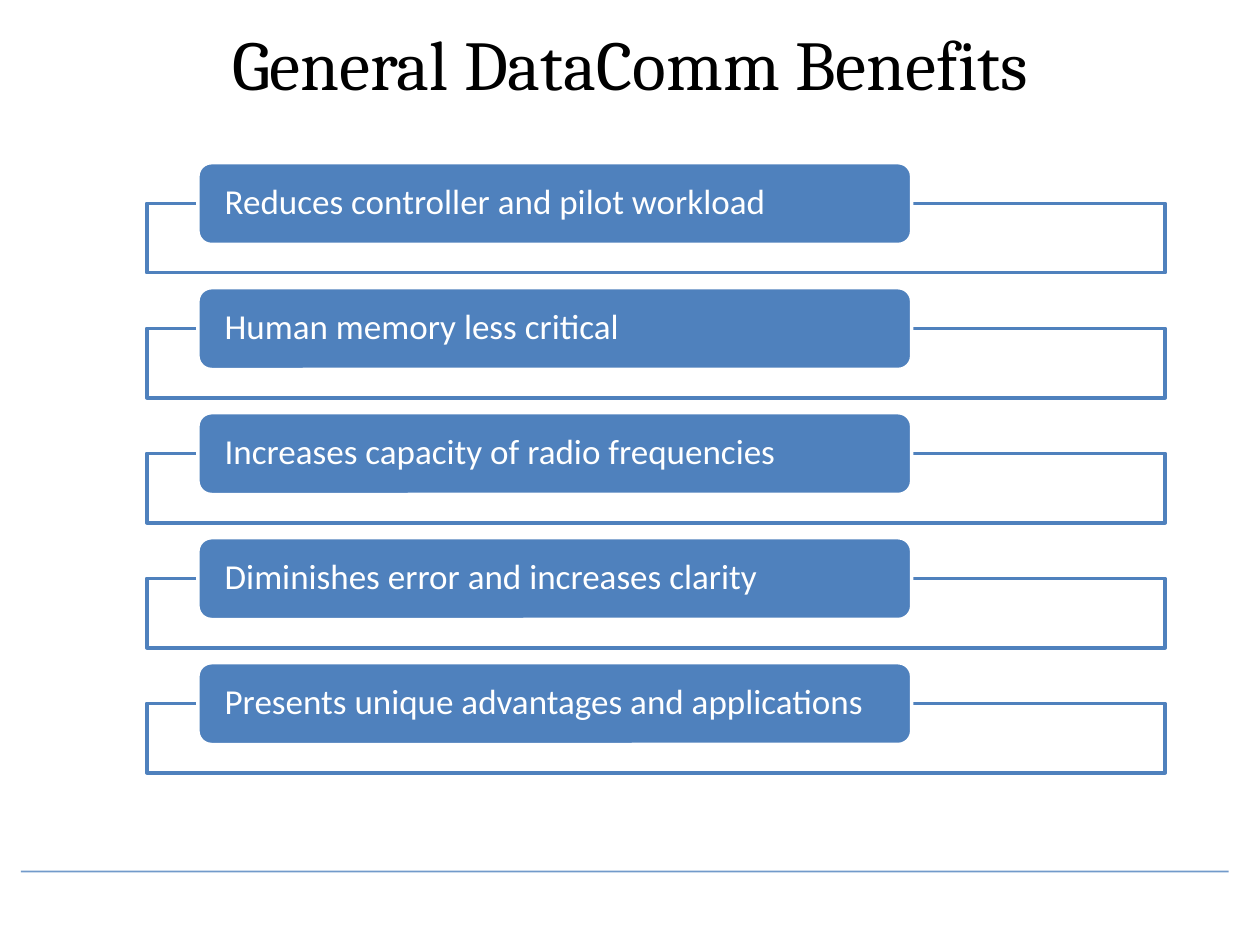
"""Build the slide on the general benefits of DataComm."""
from lxml.etree import SubElement
from pptx import Presentation
from pptx.dml.color import RGBColor
from pptx.enum.shapes import MSO_CONNECTOR as CONNECTOR, MSO_SHAPE as SHAPE
from pptx.enum.text import MSO_ANCHOR as ANCHOR, PP_ALIGN as ALIGN
from pptx.oxml.ns import qn
from pptx.util import Cm, Pt

BLACK = RGBColor(0x00, 0x00, 0x00)
WHITE = RGBColor(0xFF, 0xFF, 0xFF)
BLUE = RGBColor(0x4F, 0x81, 0xBD)

BENEFITS = [
    "Reduces controller and pilot workload",
    "Human memory less critical",
    "Increases capacity of radio frequencies",
    "Diminishes error and increases clarity",
    "Presents unique advantages and applications",
]
ROW_PITCH = 2.52


def set_opacity(part, percent):
    color = next(part.iter(qn("a:srgbClr")))
    SubElement(color, qn("a:alpha"), val=str(percent * 1000))


def add_panel(kind, left, top, width, height, fill, line):
    panel = slide.shapes.add_shape(kind, Cm(left), Cm(top), Cm(width), Cm(height))
    panel.shadow.inherit = False
    panel.fill.solid()
    panel.fill.fore_color.rgb = fill
    panel.line.color.rgb = line
    panel.line.width = Pt(2)
    return panel


prs = Presentation()
prs.slide_width = Cm(25.4)
prs.slide_height = Cm(19.05)
slide = prs.slides.add_slide(prs.slide_layouts[6])

title = slide.shapes.add_textbox(Cm(0.42), Cm(0.42), Cm(24.56), Cm(1.7))
heading = title.text_frame
heading.word_wrap = True
heading.vertical_anchor = ANCHOR.MIDDLE
heading.text = "General DataComm Benefits"
heading.paragraphs[0].alignment = ALIGN.CENTER
heading_font = heading.paragraphs[0].runs[0].font
heading_font.name = "Cambria"
heading_font.size = Pt(40)
heading_font.color.rgb = BLACK

footer_rule = slide.shapes.add_connector(
    CONNECTOR.STRAIGHT, Cm(0.42), Cm(17.57), Cm(24.77), Cm(17.57))
footer_rule.line.color.rgb = BLUE
footer_rule.line.width = Pt(1)
rule_properties = footer_rule.line._get_or_add_ln().getparent()
set_opacity(rule_properties, 80)
SubElement(rule_properties, qn("a:effectLst"))

for row, benefit in enumerate(BENEFITS):
    offset = row * ROW_PITCH
    frame = add_panel(SHAPE.RECTANGLE, 2.96, 4.1 + offset, 20.53, 1.4, WHITE, BLUE)
    set_opacity(frame.fill._xPr.find(qn("a:solidFill")), 90)

    label = add_panel(SHAPE.ROUNDED_RECTANGLE, 3.99, 3.28 + offset, 14.39, 1.65, BLUE, WHITE)
    content = label.text_frame
    content.word_wrap = True
    content.vertical_anchor = ANCHOR.MIDDLE
    content.margin_left = content.margin_right = Cm(0.46)
    content.margin_top = content.margin_bottom = 0
    content.text = benefit
    paragraph = content.paragraphs[0]
    paragraph.alignment = ALIGN.LEFT
    paragraph.line_spacing = 0.9
    label_font = paragraph.runs[0].font
    label_font.name = "Calibri"
    label_font.size = Pt(20)
    label_font.color.rgb = WHITE

prs.save("out.pptx")
